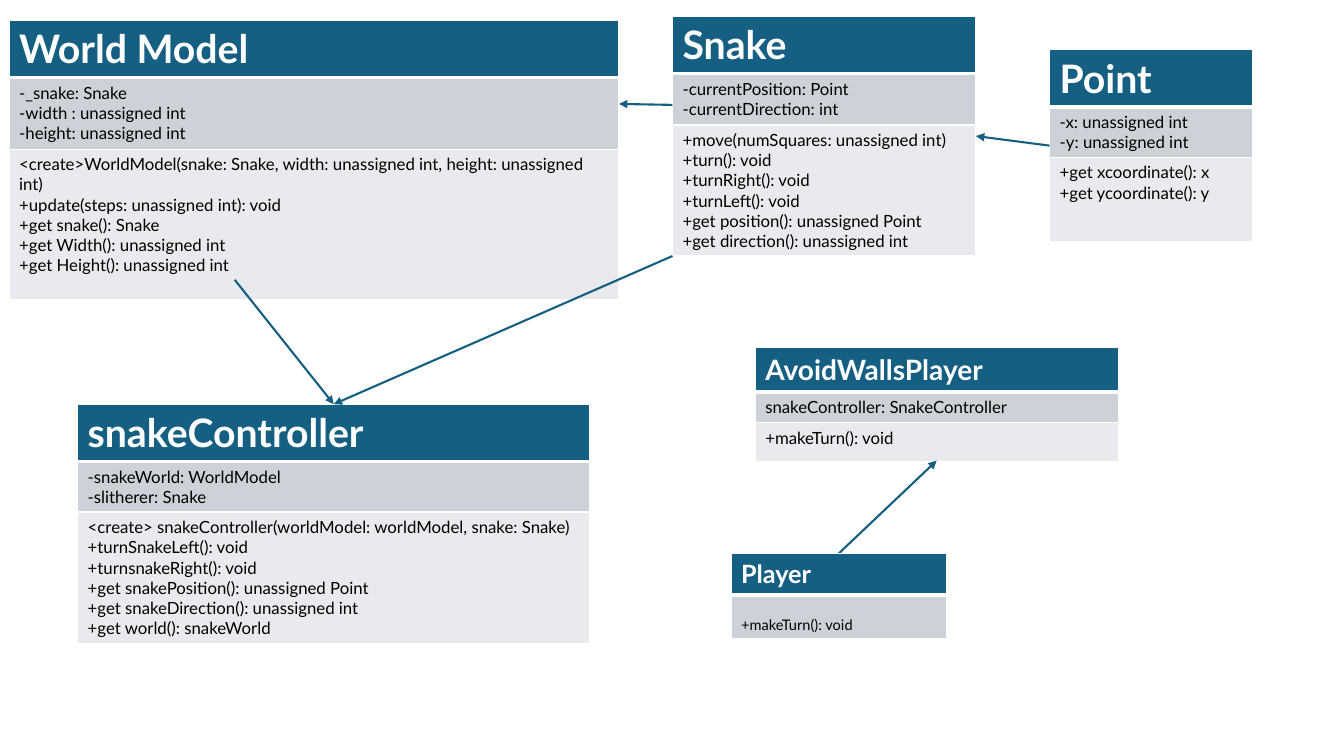
from dataclasses import dataclass

from lxml import etree
from pptx import Presentation
from pptx import util as u
from pptx.dml.color import RGBColor
from pptx.enum import shapes
from pptx.oxml import ns

CELL = u.Inches(0.1)  # side of one grid square; all places count these squares


@dataclass(frozen=True)
class Theme:
    font: str = "Lato"
    accent: str = "156082"
    band_fills: tuple = ("156082", "CCD2D8", "E8EAED")
    light: str = "FFFFFF"
    dark: str = "000000"
    body_size: int = 12
    thin: float = 1
    thick: float = 3
    arrow: float = 1.5


THEME = Theme()


@dataclass(frozen=True)
class ClassBox:
    """A class diagram box: a title band above bands of members."""
    column: float
    row: float
    width: float
    heights: tuple
    title: str
    bands: tuple
    title_size: int = 28
    body_size: int = THEME.body_size
    baseline: int = 0

    def point(self, across, down):
        """Place given as shares of the box's width and height."""
        return (self.column + across * self.width,
                self.row + down * sum(self.heights))


# Class boxes
WORLD = ClassBox(0.9, 2, 60.5, (5.7, 7.1, 14.9), "World Model", (
    ["-_snake: Snake", "-width : unassigned int", "-height: unassigned int"],
    ["<create>WorldModel(snake: Snake, width: unassigned int, height: unassigned int)",
     "+update(steps: unassigned int): void", "+get snake(): Snake",
     "+get Width(): unassigned int", "+get Height(): unassigned int"]))
SNAKE = ClassBox(66.7, 1.6, 30.1, (5.7, 5.1, 13), "Snake", (
    ["-currentPosition: Point\n-currentDirection: int"],
    ["+move(numSquares: unassigned int)", "+turn(): void", "+turnRight(): void",
     "+turnLeft(): void", "+get position(): unassigned Point",
     "+get direction(): unassigned int"]))
POINT = ClassBox(104.1, 4.9, 20.1, (5.7, 5, 8.4), "Point", (
    ["-x: unassigned int", "-y: unassigned int"],
    ["+get xcoordinate(): x", "+get ycoordinate(): y"]))
CONTROLLER = ClassBox(7.7, 4.01 * 10, 50.8, (5.7, 5, 13), "snakeController", (
    ["-snakeWorld: WorldModel", "-slitherer: Snake"],
    ["<create> snakeController(worldModel: worldModel, snake: Snake)",
     "+turnSnakeLeft(): void", "+turnsnakeRight(): void",
     "+get snakePosition(): unassigned Point",
     "+get snakeDirection(): unassigned int", "+get world(): snakeWorld"]))
AVOIDER = ClassBox(74.9, 34.5, 36, (4.3, 3.1, 3.8), "AvoidWallsPlayer", (
    ["snakeController: SnakeController"], ["+makeTurn(): void"]), title_size=20)
PLAYER = ClassBox(72.5, 54.9, 21.4, (4.1, 4.3), "Player", (
    ["+makeTurn(): void"],), title_size=18, body_size=18, baseline=-25000)

# Arrows, from start to head
ARROWS = (
    (POINT.point(0, 0.5), SNAKE.point(1, 0.5)),
    (SNAKE.point(0, 0.37), WORLD.point(1, 0.3)),
    (SNAKE.point(0, 1), CONTROLLER.point(0.5, 0)),
    (PLAYER.point(0.5, 0), AVOIDER.point(0.5, 1)),
    (WORLD.point(0.37, 0.93), CONTROLLER.point(0.5, 0)),
)


def grid(count):
    return round(count * CELL)


def add_border(cell, side, points):
    properties = cell._tc.get_or_add_tcPr()
    line = etree.SubElement(properties, ns.qn(f"a:ln{side}"), w=str(u.Pt(points)))
    fill = etree.SubElement(line, ns.qn("a:solidFill"))
    etree.SubElement(fill, ns.qn("a:srgbClr"), val=THEME.light)


def write_lines(cell, lines, formats, colour, baseline=0):
    frame = cell.text_frame
    for index, line in enumerate(lines):
        paragraph = frame.add_paragraph() if index else frame.paragraphs[0]
        paragraph.text = line
        for run in paragraph.runs:
            for name, value in formats.items():
                setattr(run.font, name, value)
            run.font.color.rgb = RGBColor.from_string(colour)
            if baseline:
                run.font._element.set("baseline", str(baseline))


def add_class_box(slide, box):
    table = slide.shapes.add_table(
        len(box.heights), 1, grid(box.column), grid(box.row),
        grid(box.width), grid(sum(box.heights))).table
    table.horz_banding = False
    for index, (height, lines) in enumerate(zip(box.heights, ([box.title], *box.bands))):
        table.rows[index].height = grid(height)
        cell = table.cell(index, 0)
        is_title = index == 0
        # The rule under the title is thicker than the others
        widths = {"L": THEME.thin, "R": THEME.thin,
                  "T": THEME.thick if index == 1 else THEME.thin,
                  "B": THEME.thick if is_title else THEME.thin}
        for side, points in widths.items():
            add_border(cell, side, points)
        cell.fill.solid()
        cell.fill.fore_color.rgb = RGBColor.from_string(THEME.band_fills[index])
        formats = {"name": THEME.font, "bold": is_title,
                   "size": u.Pt(box.title_size if is_title else box.body_size)}
        write_lines(cell, lines, formats, THEME.light if is_title else THEME.dark,
                    0 if is_title else box.baseline)


def add_arrow(slide, start, end):
    connector = slide.shapes.add_connector(
        shapes.MSO_CONNECTOR.STRAIGHT, *map(grid, (*start, *end)))
    connector.line.color.rgb = RGBColor.from_string(THEME.accent)
    connector.line.width = u.Pt(THEME.arrow)
    etree.SubElement(connector.line._get_or_add_ln(), ns.qn("a:tailEnd"), type="triangle")
    etree.SubElement(connector._element.spPr, ns.qn("a:effectLst"))


def main():
    presentation = Presentation()
    presentation.slide_width, presentation.slide_height = u.Inches(13.33), u.Inches(7.5)
    slide = presentation.slides.add_slide(presentation.slide_layouts[6])
    for box in (SNAKE, POINT, CONTROLLER, WORLD, AVOIDER):
        add_class_box(slide, box)
    for start, end in ARROWS:
        add_arrow(slide, start, end)
    add_class_box(slide, PLAYER)
    presentation.save("out.pptx")


if __name__ == "__main__":
    main()
